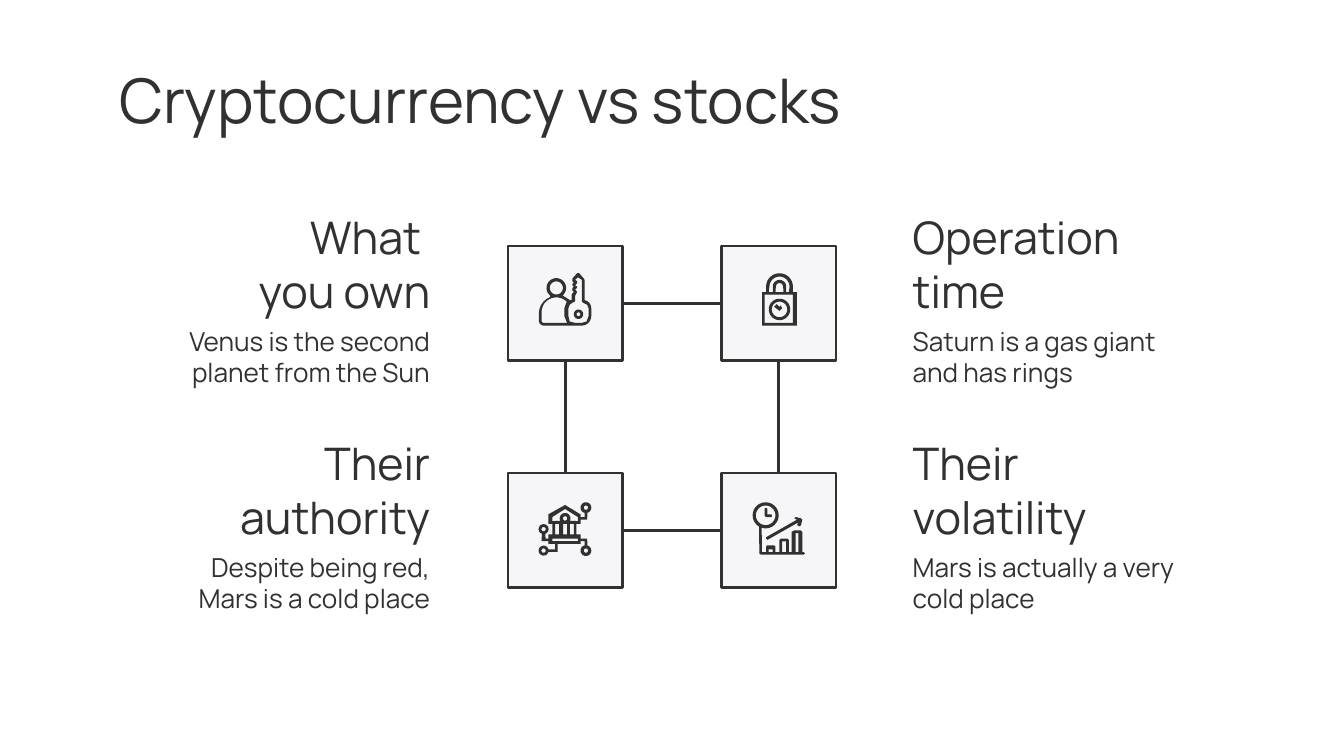
from dataclasses import dataclass
from math import cos, radians, sin

from lxml import etree
from pptx import Presentation
from pptx.dml.color import RGBColor
from pptx.enum.shapes import MSO_CONNECTOR, MSO_SHAPE
from pptx.enum.text import MSO_ANCHOR, MSO_AUTO_SIZE, PP_ALIGN
from pptx.oxml.ns import qn
from pptx.util import Cm, Pt

RECT = MSO_SHAPE.RECTANGLE
LINE = MSO_CONNECTOR.STRAIGHT
MIDDLE = MSO_ANCHOR.MIDDLE
FIXED = MSO_AUTO_SIZE.NONE
LEFT = PP_ALIGN.LEFT
RIGHT = PP_ALIGN.RIGHT


@dataclass(frozen=True)
class Theme:
    ink: RGBColor = RGBColor(0x31, 0x31, 0x31)
    tile: RGBColor = RGBColor(0xF6, 0xF6, 0xF8)
    font: str = "Manrope"
    title: Pt = Pt(33)
    head: Pt = Pt(24)
    body: Pt = Pt(14)
    line: Pt = Pt(1.5)


THEME = Theme()
UNIT = Cm(0.99) / 39
FINE = 100


def arc(x, y, r, start, end):
    steps = max(4, int(abs(end - start) / 12))
    turns = [radians(start + (end - start) * i / steps) for i in range(steps + 1)]
    return [(x + r * cos(t), y + r * sin(t)) for t in turns]


def disc(x, y, r):
    return arc(x, y, r, 0, 360)


def bar(x, y, w, h):
    return [(x, y), (x + w, y), (x + w, y + h), (x, y + h)]


OWNER = [
    [
        [(30, 0), (28.5, 0), (25, 4), (25, 6), (26, 7), (25, 8), (25, 9),
         (26, 10), (25, 11), (25, 13), (26, 14), (25, 15), (24.5, 16),
         (24.5, 20), (23, 20), *arc(13, 11, 7.3, 50, -230),
         *arc(13, 30, 13, 250, 180), (0, 36), (1, 38), (3, 39), (32, 39),
         *arc(32, 32, 7, 90, 0), *arc(33, 26, 6, 0, -80), (34, 5), (33.5, 4)],
        disc(13, 11, 4.9),
        [*arc(13, 29, 11, 180, 315), (19, 26), (19, 32), (21, 37), (3, 37), (2, 36)],
        [(29, 3), (32, 5), (32, 21), (33, 22), (36, 23.5), (37, 26), (37, 32),
         (35.5, 36), (32, 37), (27, 37), (23, 36), (22, 32), (22, 26),
         (23, 23.5), (25, 22), (27, 21), (27, 17), (28.5, 14), (27, 12),
         (28.5, 11), (28.5, 10), (27, 9), (28.5, 7.5), (28.5, 6), (27, 5)],
    ],
    [disc(29.5, 30.5, 3.5), disc(29.5, 30.5, 1.4)],
]
LOCK = [
    [
        [(33, 14), (33, 39), (7, 39), (7, 14), (10, 14),
         *arc(20, 10, 10, 180, 360), (30, 14)],
        [(27, 14), (25, 14), *arc(20, 10, 5, 0, -180), (15, 14), (12, 14),
         *arc(20, 10, 7.5, 180, 360)],
        [(23, 14), (17, 14), *arc(20, 10, 2.7, 180, 360)],
        bar(9, 16, 21, 21),
    ],
    [disc(20, 27, 8), disc(20, 27, 5.8)],
    [[(18, 23), (16, 25), (20, 28), (22, 26), (21, 24), (20, 25)]],
]
BANK = [
    [
        [*arc(35, 4, 4, 75, -255), (34, 11), (31, 11), (31, 9), (19.5, 2), (7, 9),
         (7, 16), (10, 16), (10, 24), (7, 24), (7, 27), (5, 27),
         *arc(3.5, 20, 3.7, 70, -250), (2, 29), (7, 29), (7, 31), (12, 31),
         (12, 35), *arc(3.5, 36, 3.7, -15, -345), (14, 37), (14, 31), (31, 31),
         (31, 29), (34, 29), *arc(35, 36, 4, 255, -75), (36, 27), (31, 27),
         (31, 24), (28, 24), (28, 16), (31, 16), (31, 13), (36, 13)],
        [(19.5, 5), (29, 11), (29, 14), *arc(19.5, 12, 4, 27, -207), (10, 14), (10, 11)],
        *[disc(x, y, 1.6) for x, y in ((35, 4), (3.5, 20), (3.5, 36), (35, 36), (19.5, 12))],
        *[bar(x, 16, 3, 8) for x in (12, 18, 23)],
        bar(10, 27, 19, 2),
    ],
]
CHART = [
    [
        [*arc(9.7, 9.7, 9.7, 108, -240), (5, 38), (6, 39), (38, 39), (39, 38),
         (38, 37), (37, 37), (37, 22), (36, 21), (31, 21), (29, 22), (29, 37),
         (27, 37), (27, 28), (26, 27), (21, 27), (20, 28), (20, 37), (17, 37),
         (17, 33), (16, 32), (11, 32), (10, 33), (10, 37), (7, 37)],
        disc(9.7, 9.7, 7.3),
        bar(12, 35, 3, 2), bar(22, 29, 3, 8), bar(32, 23, 2, 14),
    ],
    [[(9, 4.5), (10, 4), (11, 5), (11, 9), (14, 9), (14.5, 10), (14, 11), (10, 11), (9, 10)]],
    [[(31, 12), (32, 11), (36, 12), (37, 13), (36, 17), (35, 18), (33, 17),
      (34, 15), (11, 28), (10, 27), (10, 26), (33, 13)]],
]


def write(shape, lines, size, align):
    frame = shape.text_frame
    frame.word_wrap = True
    frame.auto_size = FIXED
    frame.vertical_anchor = MIDDLE
    frame.margin_left = frame.margin_right = Cm(0.25)
    frame.margin_top = frame.margin_bottom = Cm(0.25)
    for i, line in enumerate(lines):
        para = frame.add_paragraph() if i else frame.paragraphs[0]
        para.alignment = align
        run = para.add_run()
        run.text = line
        run.font.name = THEME.font
        run.font.size = size
        run.font.color.rgb = THEME.ink


def add_title(slide, text, box):
    title = slide.shapes.title
    title.left, title.top, title.width, title.height = box
    write(title, [text], THEME.title, LEFT)


def add_topic(slide, head, body, align, box):
    x, y, w, h = box
    parts = ((head, THEME.head, 0, Cm(1.88)), ([body], THEME.body, Cm(2.03), h - Cm(2.03)))
    for lines, size, drop, high in parts:
        write(slide.shapes.add_textbox(x, y + drop, w, high), lines, size, align)


def add_tile(slide, icon, rise, box):
    x, y, w, h = box
    tile = slide.shapes.add_shape(RECT, x, y, w, h)
    tile.shadow.inherit = False
    tile.fill.solid()
    tile.fill.fore_color.rgb = THEME.tile
    tile.line.color.rgb = THEME.ink
    tile.line.width = THEME.line
    left = int(x + (w - 39 * UNIT) / 2)
    top = int(y + (h - 39 * UNIT) / 2 - rise)
    for part in icon:
        rings = [[(px * FINE, py * FINE) for px, py in ring] for ring in part]
        pen = slide.shapes.build_freeform(*rings[0][0], scale=UNIT / FINE)
        pen.add_line_segments(rings[0][1:])
        for ring in rings[1:]:
            pen.move_to(*ring[0])
            pen.add_line_segments(ring[1:])
        glyph = pen.convert_to_shape(left, top)
        glyph.shadow.inherit = False
        glyph.fill.solid()
        glyph.fill.fore_color.rgb = THEME.ink
        glyph.line.fill.background()


def add_link(slide, x1, y1, x2, y2):
    link = slide.shapes.add_connector(LINE, x1, y1, x2, y2)
    link.line.color.rgb = THEME.ink
    link.line.width = THEME.line
    etree.SubElement(link._element.spPr, qn("a:effectLst"))


def add_grid(slide, icons, box):
    x, y, w, h = box
    side = Cm(2.16)
    half = side // 2
    right, low = x + w - side, y + h - side
    for i, icon in enumerate(icons):
        row, col = divmod(i, 2)
        place = ((x, right)[col], (y, low)[row], side, side)
        add_tile(slide, icon, (Cm(0.07), Cm(0.03))[row], place)
    for top in (y, low):
        add_link(slide, x + side, top + half, right, top + half)
    for left in (x, right):
        add_link(slide, left + half, y + side, left + half, low)


def main():
    deck = Presentation()
    deck.slide_width, deck.slide_height = Cm(25.4), Cm(14.29)
    slide = deck.slides.add_slide(deck.slide_layouts[5])
    add_title(slide, "Cryptocurrency vs stocks", (Cm(2), Cm(1.07), Cm(17.63), Cm(1.6)))
    topics = (
        (["What ", "you own"], "Venus is the second planet from the Sun"),
        (["Operation time"], "Saturn is a gas giant and has rings"),
        (["Their authority"], "Despite being red, Mars is a cold place"),
        (["Their volatility"], "Mars is actually a very cold place"),
    )
    for i, (head, body) in enumerate(topics):
        row, col = divmod(i, 2)
        box = ((Cm(2.92), Cm(17))[col], Cm(4.04) + row * Cm(4.27), Cm(5.46), Cm(3.38))
        add_topic(slide, head, body, (RIGHT, LEFT)[col], box)
    add_grid(slide, (OWNER, LOCK, BANK, CHART), (Cm(9.6), Cm(4.65), Cm(6.2), Cm(6.45)))
    deck.save("out.pptx")


if __name__ == "__main__":
    main()
